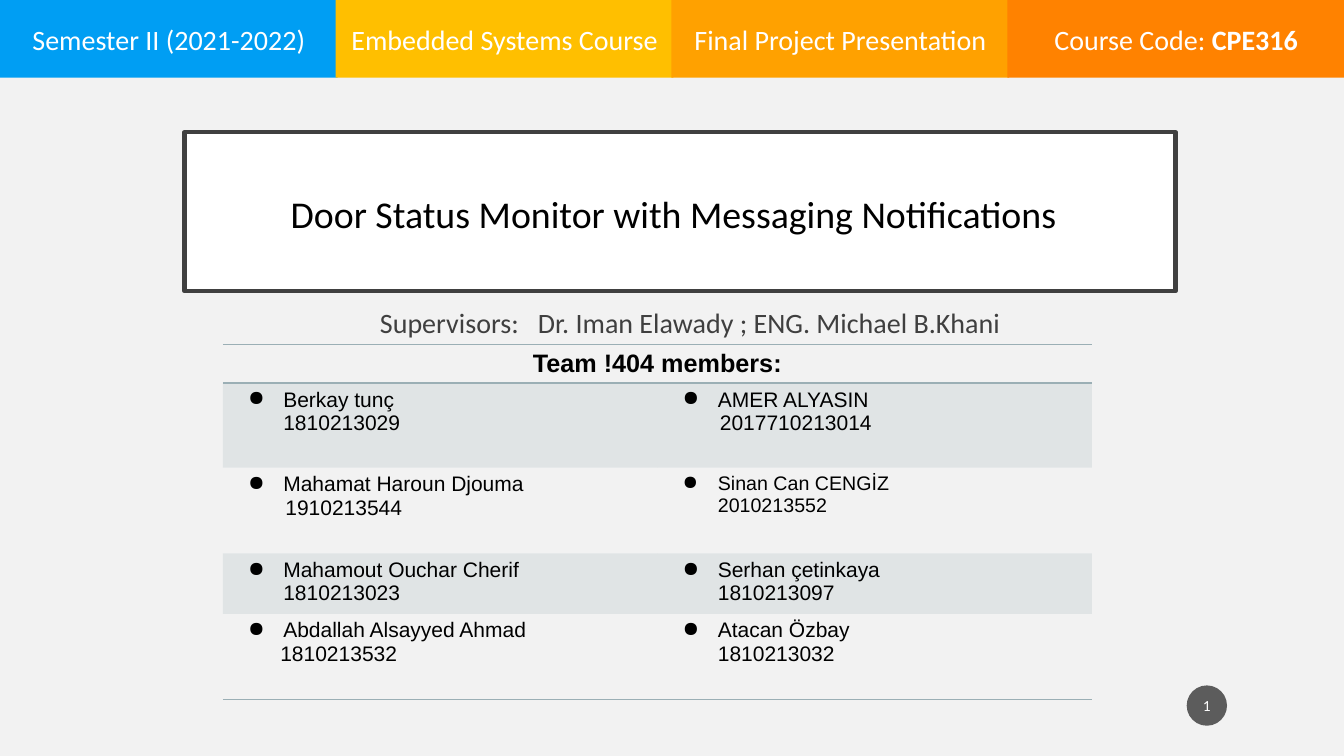
from dataclasses import dataclass

from lxml import etree
from pptx import Presentation
from pptx.dml.color import RGBColor
from pptx.enum.shapes import MSO_SHAPE
from pptx.enum.text import MSO_ANCHOR, PP_ALIGN
from pptx.oxml.ns import qn
from pptx.util import Inches, Pt

RECTANGLE, OVAL = MSO_SHAPE.RECTANGLE, MSO_SHAPE.OVAL
CENTER, LEFT = PP_ALIGN.CENTER, PP_ALIGN.LEFT
MIDDLE, TOP = MSO_ANCHOR.MIDDLE, MSO_ANCHOR.TOP


@dataclass(frozen=True)
class Theme:
    heading_font: str = "Calibri"
    table_font: str = "Arial"
    background: str = "F2F2F2"
    white: str = "FFFFFF"
    black: str = "000000"
    frame: str = "404040"
    supervisors: str = "3F3F3F"
    rule: str = "9BAFB5"
    badge: str = "1D1D1D"
    title_size: float = 27
    heading_size: float = 20
    team_size: float = 18
    member_size: float = 15
    small_member_size: float = 14
    badge_size: float = 11


THEME = Theme()

# Course facts across the top: (plain text, bold text, colour)
BANDS = [
    ("Semester II (2021-2022)", "", "009EF3"),
    ("Embedded Systems Course", "", "FFBF00"),
    ("Final Project Presentation", "", "FFA100"),
    ("Course Code: ", "CPE316", "FF8200"),
]

# Team members by row: (name, student number, number indent, type size)
FULL, SMALL = THEME.member_size, THEME.small_member_size
MEMBERS = [
    [("Berkay tunç", "1810213029", 0.5, FULL),
     ("AMER ALYASIN", "2017710213014", 0.52, FULL)],
    [("Mahamat Haroun Djouma", "1910213544", 0.52, FULL),
     ("Sinan Can CENGİZ", "2010213552", 0.5, SMALL)],
    [("Mahamout Ouchar Cherif", "1810213023", 0.5, FULL),
     ("Serhan çetinkaya", "1810213097", 0.5, FULL)],
    [("Abdallah Alsayyed Ahmad", "1810213532", 0.47, FULL),
     ("Atacan Özbay", "1810213032", 0.5, FULL)],
]
ROW_HEIGHTS = [0.38, 0.84, 0.85, 0.6, 0.85]


def rgb(value):
    return RGBColor.from_string(value)


def style(paragraph, size, color, font=THEME.heading_font, bold=False, align=CENTER):
    paragraph.alignment = align
    paragraph.font.size = Pt(size)
    paragraph.font.name = font
    paragraph.font.bold = bold
    paragraph.font.color.rgb = rgb(color)


def set_fill(owner, properties, color, opacity=100):
    owner.fill.solid()
    owner.fill.fore_color.rgb = rgb(color)
    if opacity < 100:
        tone = properties.find(qn("a:solidFill"))[0]
        etree.SubElement(tone, qn("a:alpha"), val=str(opacity * 1000))


def set_frame(frame, insets, anchor):
    frame.word_wrap = True
    frame.vertical_anchor = anchor
    (frame.margin_left, frame.margin_top,
     frame.margin_right, frame.margin_bottom) = map(Inches, insets)


def add_panel(slide, kind, box, color, insets=(0, 0, 0, 0), opacity=100):
    panel = slide.shapes.add_shape(kind, *map(Inches, box))
    panel.shadow.inherit = False
    set_fill(panel, panel._element.spPr, color, opacity)
    panel.line.fill.background()
    set_frame(panel.text_frame, insets, MIDDLE)
    return panel


def add_band(slide, index, plain, strong, color):
    band = add_panel(slide, RECTANGLE, (index * 3.33, 0, 3.35, 0.77), color)
    fact = band.text_frame.paragraphs[0]
    fact.add_run().text = plain
    style(fact, THEME.heading_size, THEME.white)
    if strong:
        code = fact.add_run()
        code.text = strong
        code.font.bold = True


def add_title(slide, text):
    title = add_panel(slide, RECTANGLE, (1.83, 1.31, 9.83, 1.58), THEME.white,
                      insets=(0.3, 0.3, 0.43, 0.2))
    title.line.color.rgb = rgb(THEME.frame)
    title.line.width = Pt(3)
    heading = title.text_frame.paragraphs[0]
    heading.text = text
    heading.line_spacing = 0.9
    style(heading, THEME.title_size, THEME.black)


def add_supervisors(slide, label, names):
    box = slide.shapes.add_textbox(*map(Inches, (1.93, 2.98, 9.83, 0.48)))
    set_frame(box.text_frame, (0.1, 0.05, 0.1, 0.05), TOP)
    line = box.text_frame.paragraphs[0]
    label_run, gap, names_run = (line.add_run() for _ in range(3))
    label_run.text, gap.text, names_run.text = label, " ", names
    # Widen the single space between label and names
    gap._r.get_or_add_rPr().set("spc", "900")
    style(line, THEME.heading_size, THEME.supervisors)


def set_borders(cell, ruled_edges):
    properties = cell._tc.get_or_add_tcPr()
    for edge in "LRTB":
        border = etree.SubElement(properties, qn(f"a:ln{edge}"), w=str(Pt(1)))
        if edge in ruled_edges:
            paint = etree.SubElement(border, qn("a:solidFill"))
            etree.SubElement(paint, qn("a:srgbClr"), val=THEME.rule)
        else:
            etree.SubElement(border, qn("a:noFill"))


def indent(paragraph, left, hanging=0.0, bullet=None):
    properties = paragraph._p.get_or_add_pPr()
    properties.set("marL", str(Inches(left)))
    properties.set("indent", str(-Inches(hanging)))
    if bullet:
        etree.SubElement(properties, qn("a:buChar"), char=bullet)
    else:
        etree.SubElement(properties, qn("a:buNone"))


def fill_member(cell, name, number, number_indent, size):
    name_line = cell.text_frame.paragraphs[0]
    number_line = cell.text_frame.add_paragraph()
    name_line.text, number_line.text = name, number
    indent(name_line, 0.5, 0.35, "●")
    indent(number_line, number_indent)
    for line in (name_line, number_line):
        style(line, size, THEME.black, THEME.table_font, align=LEFT)


def add_team_table(slide, heading):
    table = slide.shapes.add_table(
        len(ROW_HEIGHTS), 2, Inches(2.21), Inches(3.42),
        Inches(8.62), Inches(sum(ROW_HEIGHTS))).table
    table.first_row = table.horz_banding = False
    for row, height in zip(table.rows, ROW_HEIGHTS):
        row.height = Inches(height)

    # Rules around the heading and under the last row, tint on odd rows
    last = len(ROW_HEIGHTS) - 1
    ruled = {0: "TB", 1: "T", last: "B"}
    for r, row in enumerate(table.rows):
        for cell in row.cells:
            set_borders(cell, ruled.get(r, ""))
            if r % 2:
                set_fill(cell, cell._tc.tcPr, THEME.rule, 20)
            else:
                cell.fill.background()

    team = table.cell(0, 0)
    team.merge(table.cell(0, 1))
    team.text = heading
    style(team.text_frame.paragraphs[0], THEME.team_size, THEME.black,
          THEME.table_font, bold=True)
    for r, pair in enumerate(MEMBERS, start=1):
        for c, member in enumerate(pair):
            fill_member(table.cell(r, c), *member)


def add_page_badge(slide, number):
    badge = add_panel(slide, OVAL, (11.77, 6.8, 0.4, 0.4), THEME.badge,
                      insets=(0.02, 0.05, 0.02, 0.05), opacity=70)
    page = badge.text_frame.paragraphs[0]
    page.text = number
    style(page, THEME.badge_size, THEME.white)


def main():
    deck = Presentation()
    deck.slide_width, deck.slide_height = Inches(13.33), Inches(7.5)
    slide = deck.slides.add_slide(deck.slide_layouts[6])
    slide.background.fill.solid()
    slide.background.fill.fore_color.rgb = rgb(THEME.background)

    add_title(slide, "Door Status Monitor with Messaging Notifications")
    for index, band in enumerate(BANDS):
        add_band(slide, index, *band)
    add_team_table(slide, "Team !404 members:")
    add_supervisors(slide, "Supervisors:", "Dr. Iman Elawady ; ENG. Michael B.Khani")
    add_page_badge(slide, "1")
    deck.save("out.pptx")


if __name__ == "__main__":
    main()
